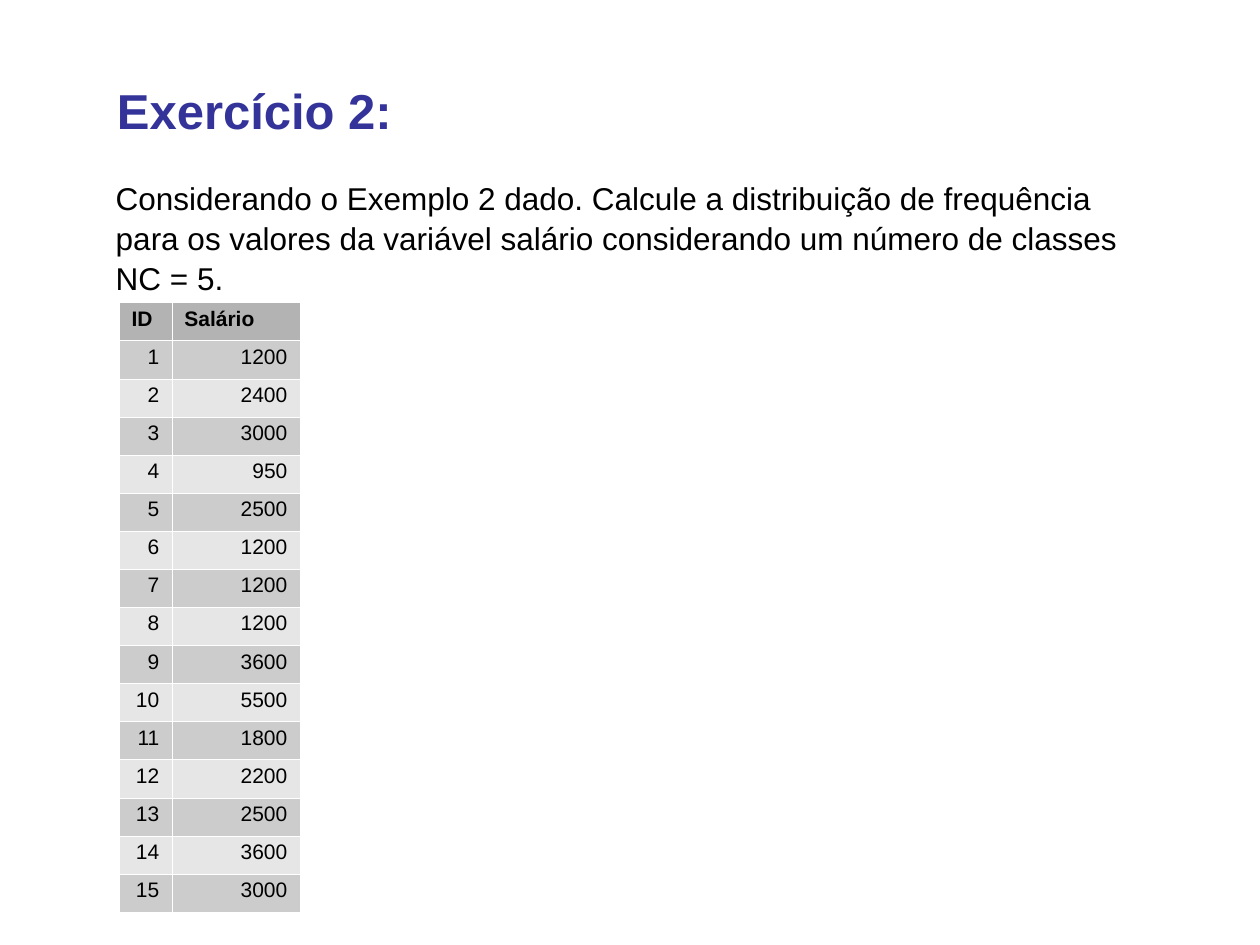
from lxml.etree import SubElement
from pptx import Presentation
from pptx.dml.color import RGBColor
from pptx.enum.text import MSO_ANCHOR as Anchor, PP_ALIGN as Align
from pptx.oxml.ns import qn
from pptx.util import Pt

FONT = "Arial"
WHITE, BLACK, INDIGO = "FFFFFF", "000000", "333399"
HEADER_FILL, ODD_FILL, EVEN_FILL = "B3B3B3", "CCCCCC", "E6E6E6"
SALARIES = [1200, 2400, 3000, 950, 2500, 1200, 1200, 1200,
            3600, 5500, 1800, 2200, 2500, 3600, 3000]
COLUMN_WIDTHS = [30.24, 73.2]
ROW_HEIGHT = 21.78
BORDER_WIDTH = 0.06


def color(hex_string):
    return RGBColor.from_string(hex_string)


def write_text(frame, text, size=12, ink=BLACK, bold=False,
               align=Align.LEFT, spacing=1.0):
    para = frame.paragraphs[0]
    para.alignment = align
    para.line_spacing = spacing
    span = para.add_run()
    span.text = text
    span.font.name = FONT
    span.font.size = Pt(size)
    span.font.bold = bold
    span.font.color.rgb = color(ink)


def add_text(page, text, left, top, width, height,
             anchor=Anchor.TOP, **text_format):
    box = page.shapes.add_textbox(Pt(left), Pt(top), Pt(width), Pt(height))
    box.text_frame.word_wrap = True
    box.text_frame.vertical_anchor = anchor
    write_text(box.text_frame, text, **text_format)


def set_borders(cell, hex_string, width):
    # Borders must come before the fill inside the cell properties
    properties = cell._tc.get_or_add_tcPr()
    for side in ("a:lnL", "a:lnR", "a:lnT", "a:lnB"):
        line = SubElement(properties, qn(side), w=str(int(Pt(width))))
        fill = SubElement(line, qn("a:solidFill"))
        SubElement(fill, qn("a:srgbClr"), val=hex_string)


def fill_cell(cell, text, fill, **text_format):
    set_borders(cell, WHITE, BORDER_WIDTH)
    cell.fill.solid()
    cell.fill.fore_color.rgb = color(fill)
    write_text(cell.text_frame, text, spacing=0.93, **text_format)


def add_salary_table(page, left, top):
    row_count = len(SALARIES) + 1
    table = page.shapes.add_table(
        row_count, len(COLUMN_WIDTHS), Pt(left), Pt(top),
        Pt(sum(COLUMN_WIDTHS)), Pt(ROW_HEIGHT * row_count)).table
    for column, width in zip(table.columns, COLUMN_WIDTHS):
        column.width = Pt(width)
    for row in table.rows:
        row.height = Pt(ROW_HEIGHT)

    # Header row
    for index, heading in enumerate(["ID", "Salário"]):
        fill_cell(table.cell(0, index), heading, HEADER_FILL, bold=True)

    # One banded row per salary
    for number, salary in enumerate(SALARIES, start=1):
        fill = ODD_FILL if number % 2 else EVEN_FILL
        for index, value in enumerate([number, salary]):
            fill_cell(table.cell(number, index), str(value), fill,
                      align=Align.RIGHT)


def main():
    deck = Presentation()
    deck.slide_width, deck.slide_height = Pt(720), Pt(540)
    page = deck.slides.add_slide(deck.slide_layouts[6])

    # Title and task
    add_text(page, "Exercício 2:", 59.76, 40.32, 612.72, 45.36,
             anchor=Anchor.MIDDLE, size=28, ink=INDIGO, bold=True)
    add_text(page, "Considerando o Exemplo 2 dado. Calcule a distribuição de "
             "frequência para os valores da variável salário considerando um "
             "número de classes NC = 5.", 59.04, 97.92, 596.16, 72,
             size=18, spacing=1.05)

    # Data
    add_salary_table(page, 68, 172.8)
    deck.save("out.pptx")


if __name__ == "__main__":
    main()
